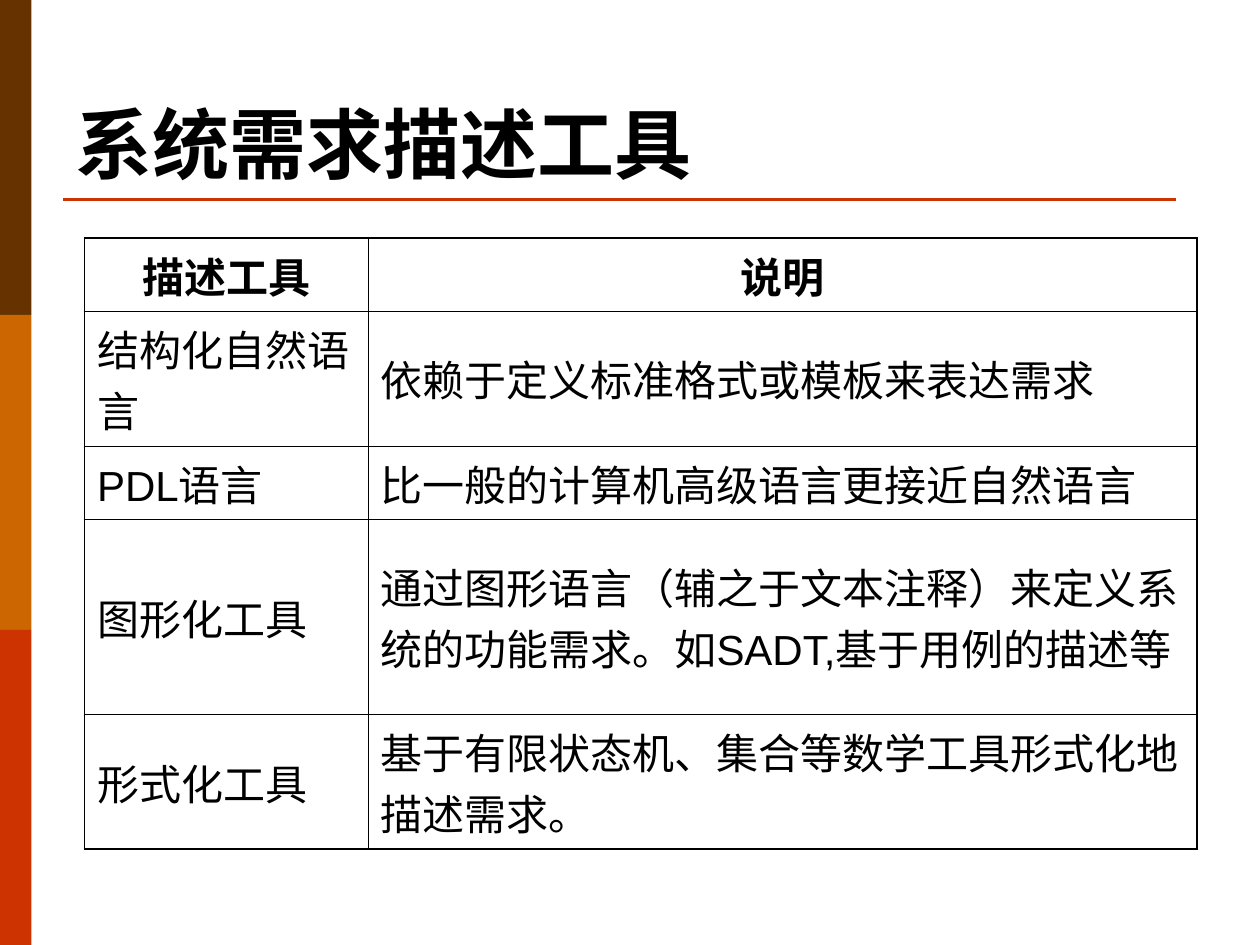
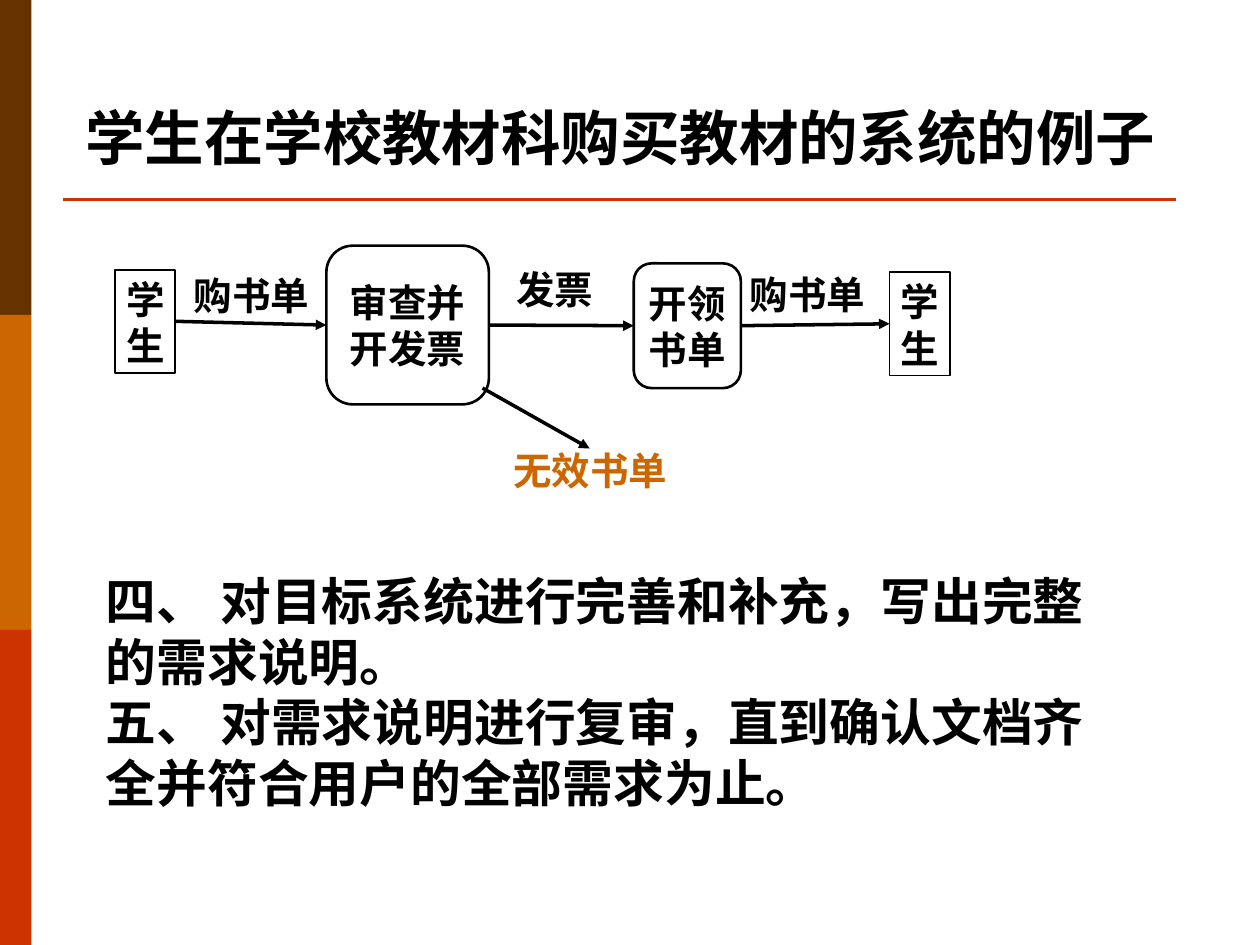
from lxml import etree
from pptx import Presentation
from pptx.dml.color import RGBColor
from pptx.enum import shapes as es, text as et
from pptx.oxml import ns
from pptx.util import Inches, Pt

BLACK = RGBColor(0, 0, 0)
BROWN = RGBColor(0x66, 0x33, 0x00)
AMBER = RGBColor(0xCC, 0x66, 0x00)
RED = RGBColor(0xCC, 0x33, 0x00)
BANDS = [BROWN, AMBER, RED]
SERIF, SANS, CJK = "Times New Roman", "Arial", "Noto Sans CJK SC"
LEFT, MID, JUST = et.PP_ALIGN.LEFT, et.PP_ALIGN.CENTER, et.PP_ALIGN.JUSTIFY
TOP, CORE, LOW = et.MSO_ANCHOR.TOP, et.MSO_ANCHOR.MIDDLE, et.MSO_ANCHOR.BOTTOM
RECT, ROUND = es.MSO_SHAPE.RECTANGLE, es.MSO_SHAPE.ROUNDED_RECTANGLE

TOOLS = [
    ("描述工具", "说明"),
    ("结构化自然语言", "依赖于定义标准格式或模板来表达需求"),
    ("PDL语言", "比一般的计算机高级语言更接近自然语言"),
    ("图形化工具", "通过图形语言（辅之于文本注释）来定义系统的功能需求。如SADT,基于用例的描述等"),
    ("形式化工具", "基于有限状态机、集合等数学工具形式化地描述需求。"),
]
COLS = [2.25, 6.58]
ROWS = [0.58, 1.07, 0.58, 1.55, 1.07]

STEPS = [
    ("学生", RECT, (0.91, 2.14, 0.48, 0.82)),
    ("审查并开发票", ROUND, (2.59, 1.95, 1.29, 1.26)),
    ("开领书单", ROUND, (5.03, 2.09, 0.85, 0.99)),
    ("学生", RECT, (7.06, 2.16, 0.48, 0.82)),
]
LABELS = [
    ("购书单", (1.47, 2.12, 1.05, 0.41), MID, BLACK),
    ("发票", (4.1, 2.07, 0.68, 0.41), JUST, BLACK),
    ("购书单", (5.95, 2.11, 0.97, 0.45), JUST, BLACK),
    ("无效书单", (3.76, 3.51, 1.85, 0.36), MID, AMBER),
]
NOTES = [
    "四、\t对目标系统进行完善和补充，写出完整\v的需求说明。",
    "五、\t对需求说明进行复审，直到确认文档齐\v全并符合用户的全部需求为止。",
]


def box(at):
    return [Inches(v) for v in at]


def node(root, tag, **atts):
    return etree.SubElement(root, ns.qn(tag), {k: str(v) for k, v in atts.items()})


def write(frame, *lines, size=22, font=SERIF, color=BLACK, bold=True,
          align=LEFT, anchor=TOP, inset=(0.1, 0.05, 0.1, 0.05), tab=None):
    frame.word_wrap = True
    frame.vertical_anchor = anchor
    (frame.margin_left, frame.margin_top,
     frame.margin_right, frame.margin_bottom) = box(inset)
    for i, line in enumerate(lines):
        para = frame.add_paragraph() if i else frame.paragraphs[0]
        para.text = line
        para.alignment = align
        if tab:
            stops = node(para._p.get_or_add_pPr(), "a:tabLst")
            node(stops, "a:tab", pos=Inches(tab), algn="l")
        for run in para.runs:
            face = run.font
            face.size, face.bold, face.name = Pt(size), bold, font
            face.color.rgb = color
            node(run._r.get_or_add_rPr(), "a:ea", typeface=CJK)


def label(slide, at, *lines, **form):
    write(slide.shapes.add_textbox(*box(at)).text_frame, *lines, **form)


def line(slide, ends, color=BLACK, width=2, arrow=True):
    link = slide.shapes.add_connector(es.MSO_CONNECTOR.STRAIGHT, *box(ends))
    link.line.color.rgb = color
    link.line.width = Pt(width)
    if arrow:
        node(link.line._get_or_add_ln(), "a:tailEnd", type="triangle")
    node(link._element.spPr, "a:effectLst")
    return link


def start(deck, title, at, size):
    slide = deck.slides.add_slide(deck.slide_layouts[6])
    for i, color in enumerate(BANDS):
        band = slide.shapes.add_shape(RECT, *box((0, 2.5 * i, 0.25, 2.5)))
        band.shadow.inherit = False
        band.fill.solid()
        band.fill.fore_color.rgb = color
        band.line.fill.background()
    line(slide, (0.5, 1.58, 9.33, 1.58), RED, 1.75, arrow=False)
    label(slide, at, title, size=size, anchor=LOW)
    return slide


def edge(cell, side, width):
    rim = node(cell._tc.get_or_add_tcPr(), "a:ln" + side, w=Pt(width))
    node(node(rim, "a:solidFill"), "a:srgbClr", val=BLACK)


def grid(slide):
    shape = slide.shapes.add_table(len(ROWS), len(COLS),
                                   *box((0.67, 1.89, sum(COLS), sum(ROWS))))
    table = shape.table
    table.first_row = table.horz_banding = False
    for c, width in enumerate(COLS):
        table.columns[c].width = Inches(width)
    for r, texts in enumerate(TOOLS):
        table.rows[r].height = Inches(ROWS[r])
        for c, words in enumerate(texts):
            cell = table.cell(r, c)
            write(cell.text_frame, words, size=24, font=SANS, bold=r == 0,
                  align=LEFT if r else MID)
            cell.vertical_anchor = CORE
            outer = {"L": c == 0, "R": c == len(COLS) - 1,
                     "T": r == 0, "B": r == len(ROWS) - 1}
            for side, thick in outer.items():
                edge(cell, side, 1.08 if thick else 0.45)
            cell.fill.background()


def step(slide, words, kind, at):
    shape = slide.shapes.add_shape(kind, *box(at))
    shape.shadow.inherit = False
    shape.fill.background()
    shape.line.color.rgb = BLACK
    if kind == ROUND:
        shape.adjustments[0] = 0.167
        shape.line.width = Pt(1.5)
        form = dict(align=MID, anchor=CORE, inset=(0, 0, 0, 0))
    else:
        shape.line.width = Pt(1)
        form = dict(inset=(0.09, 0.05, 0.08, 0.05))
    write(shape.text_frame, words, **form)
    return shape


def flow(slide):
    for words, at, align, color in LABELS:
        label(slide, at, words, align=align, color=color, inset=(0, 0.04, 0, 0))
    steps = [step(slide, *spot) for spot in STEPS]
    for one, two in zip(steps, steps[1:]):
        link = line(slide, (0, 0, 1, 1))
        link.begin_connect(one, 3)
        link.end_connect(two, 1)
    line(slide, (3.83, 3.08, 4.68, 3.56))


def main():
    deck = Presentation()
    deck.slide_width, deck.slide_height = Inches(10), Inches(7.5)
    grid(start(deck, "系统需求描述工具", (0.5, 0.3, 9, 1.25), 44))
    slide = start(deck, "学生在学校教材科购买教材的系统的例子", (0.58, 0.45, 8.77, 0.97), 34)
    flow(slide)
    label(slide, (0.75, 4.47, 8.39, 2.03), *NOTES, size=29, font=CJK,
          inset=(0.09, 0.05, 0.09, 0.05), tab=0.91)
    deck.save("out.pptx")


if __name__ == "__main__":
    main()
